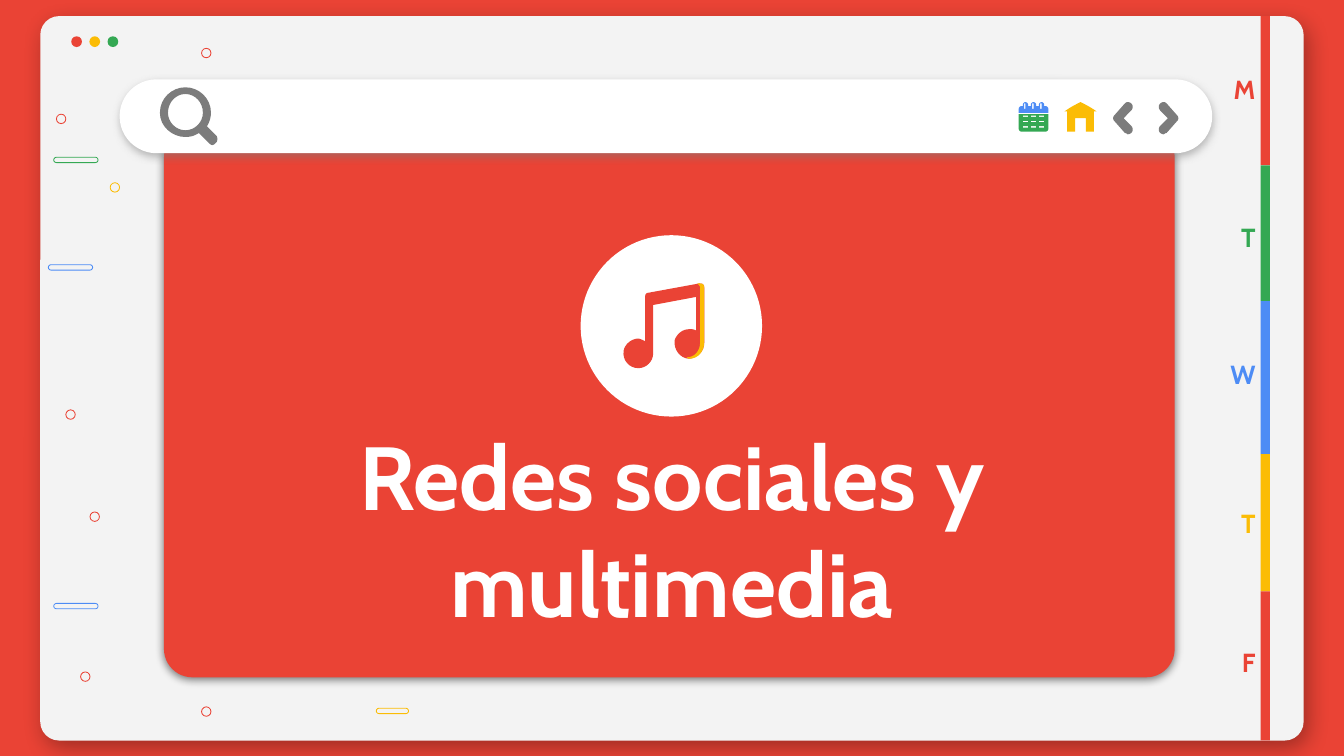
from lxml import etree
from pptx import Presentation
from pptx.dml.color import RGBColor
from pptx.enum.shapes import MSO_SHAPE
from pptx.enum.text import MSO_ANCHOR, PP_ALIGN
from pptx.oxml.ns import qn
from pptx.util import Inches, Pt

RED = RGBColor(0xEA, 0x43, 0x35)
YELLOW = RGBColor(0xFB, 0xBC, 0x05)
GREEN = RGBColor(0x34, 0xA8, 0x53)
BLUE = RGBColor(0x4D, 0x8C, 0xF5)
GRAY = RGBColor(0x7C, 0x7C, 0x7C)
PALE = RGBColor(0xF3, 0xF3, 0xF3)
WHITE = RGBColor(0xFF, 0xFF, 0xFF)
BLACK = RGBColor(0, 0, 0)

RECT = MSO_SHAPE.RECTANGLE
ROUND = MSO_SHAPE.ROUNDED_RECTANGLE
OVAL = MSO_SHAPE.OVAL
MIDDLE = MSO_ANCHOR.MIDDLE
CENTER, RIGHT = PP_ALIGN.CENTER, PP_ALIGN.RIGHT


def trace(steps, parts=8):
    """Turn points and cubic curves (six numbers) into a list of points."""
    points = []
    for step in steps:
        if len(step) == 2:
            points.append(step)
            continue
        ends = [points[-1], step[:2], step[2:4], step[4:]]
        for i in range(1, parts + 1):
            t = i / parts
            mix = ((1 - t) ** 3, 3 * t * (1 - t) ** 2, 3 * t * t * (1 - t), t ** 3)
            points.append(tuple(sum(m * p[k] for m, p in zip(mix, ends)) for k in (0, 1)))
    return points


def box(x, y, w, h):
    return [(x, y), (x + w, y), (x + w, y + h), (x, y + h)]


class Canvas:
    font = "Cabin"
    thin = Pt(0.44)

    def __init__(self, slide):
        self.slide = slide

    def paint(self, shape, fill=None, line=None):
        shape.shadow.inherit = False
        if fill is None:
            shape.fill.background()
        else:
            shape.fill.solid()
            shape.fill.fore_color.rgb = fill
        if line is None:
            shape.line.fill.background()
        else:
            shape.line.color.rgb = line
            shape.line.width = self.thin
        return shape

    def shape(self, kind, x, y, w, h, fill=None, line=None, bend=None):
        item = self.slide.shapes.add_shape(kind, Inches(x), Inches(y), Inches(w), Inches(h))
        if bend is not None:
            item.adjustments[0] = bend
        return self.paint(item, fill, line)

    def shade(self, shape, color, alpha, blur, dist, angle):
        effects = shape._element.spPr.find(qn("a:effectLst"))
        outer = etree.SubElement(effects, qn("a:outerShdw"), blurRad=str(Pt(blur)),
                                 dist=str(Pt(dist)), dir=str(angle * 60000),
                                 algn="bl", rotWithShape="0")
        tint = etree.SubElement(outer, qn("a:srgbClr"), val=str(color))
        etree.SubElement(tint, qn("a:alpha"), val=str(alpha * 1000))

    def draw(self, fill, *loops):
        """Fill one or more closed outlines; inner ones are holes."""
        pen = None
        for loop in loops:
            first, *rest = [(Inches(x), Inches(y)) for x, y in trace(loop)]
            if pen is None:
                pen = self.slide.shapes.build_freeform(*first, scale=1.0)
            else:
                pen.move_to(*first)
            pen.add_line_segments(rest, close=True)
        return self.paint(pen.convert_to_shape(), fill)

    def text(self, words, x, y, w, h, size, color, align):
        frame = self.slide.shapes.add_textbox(
            Inches(x), Inches(y), Inches(w), Inches(h)).text_frame
        frame.word_wrap = True
        frame.vertical_anchor = MIDDLE
        frame.margin_left = frame.margin_right = Inches(0.1)
        frame.margin_top = frame.margin_bottom = Inches(0.1)
        para = frame.paragraphs[0]
        para.alignment = align
        run = para.add_run()
        run.text = words
        run.font.name, run.font.size, run.font.bold = self.font, Pt(size), True
        run.font.color.rgb = color


def main():
    deck = Presentation()
    deck.slide_width = Inches(10)
    deck.slide_height = Inches(10) * 9 // 16
    slide = deck.slides.add_slide(deck.slide_layouts[6])
    slide.background.fill.solid()
    slide.background.fill.fore_color.rgb = RED
    art = Canvas(slide)

    # Window and its buttons
    window = art.shape(ROUND, 0.3, 0.12, 9.4, 5.39, PALE, bend=0.026)
    art.shade(window, BLACK, 32, 12.4, 5.2, 57)
    for i, color in enumerate((RED, YELLOW, GREEN)):
        art.shape(OVAL, 0.53 + 0.135 * i, 0.27, 0.08, 0.08, color)

    # Scattered rings and pills
    for x, y, color in ((0.67, 3.81, RED), (0.82, 1.36, YELLOW), (0.42, 0.85, RED),
                        (0.6, 5, RED), (0.49, 3.05, RED), (1.5, 0.36, RED), (1.5, 5.26, RED)):
        art.shape(OVAL, x, y, 0.07, 0.07, line=color)
    for x, y, w, color in ((2.8, 5.27, 0.24, YELLOW), (0.36, 1.97, 0.33, BLUE),
                           (0.4, 4.49, 0.33, BLUE), (0.4, 1.17, 0.33, GREEN)):
        art.shape(ROUND, x, y, w, 0.04, line=color, bend=0.5)

    # Panel and search bar
    panel = art.shape(ROUND, 1.22, 0.96, 7.52, 4.08, RED, bend=0.052)
    art.shade(panel, BLACK, 50, 4.5, 1.5, 90)
    bar = art.shape(ROUND, 0.89, 0.59, 8.13, 0.55, WHITE, bend=0.5)
    art.shade(bar, GRAY, 50, 4.5, 1.5, 90)

    # Magnifier
    lens = [(1.38, 0.7), (1.45, 0.7, 1.51, 0.76, 1.51, 0.84),
            (1.51, 0.91, 1.45, 0.97, 1.38, 0.97), (1.31, 0.97, 1.25, 0.91, 1.25, 0.84),
            (1.25, 0.76, 1.31, 0.7, 1.38, 0.7)]
    rim = [(1.38, 0.65), (1.28, 0.65, 1.19, 0.73, 1.19, 0.84),
           (1.19, 0.94, 1.28, 1.02, 1.38, 1.02), (1.42, 1.02, 1.45, 1.01, 1.48, 0.99),
           (1.55, 1.06), (1.56, 1.07, 1.57, 1.08, 1.58, 1.08),
           (1.59, 1.08, 1.6, 1.07, 1.61, 1.06), (1.62, 1.05, 1.62, 1.02, 1.61, 1.01),
           (1.54, 0.94), (1.56, 0.91, 1.57, 0.87, 1.57, 0.84),
           (1.57, 0.73, 1.48, 0.65, 1.38, 0.65)]
    art.draw(GRAY, lens, rim)

    # Music note
    art.shape(OVAL, 4.32, 1.75, 1.35, 1.35, WHITE)
    art.draw(RED, [
        (5.2, 2.11), (4.82, 2.18), (4.81, 2.18, 4.8, 2.19, 4.8, 2.21), (4.8, 2.54),
        (4.78, 2.53, 4.76, 2.52, 4.75, 2.52), (4.7, 2.52, 4.65, 2.56, 4.64, 2.61),
        (4.63, 2.68, 4.68, 2.74, 4.75, 2.74), (4.81, 2.74, 4.86, 2.69, 4.86, 2.63),
        (4.86, 2.27), (5.18, 2.21), (5.18, 2.46), (5.16, 2.45, 5.15, 2.45, 5.13, 2.45),
        (5.08, 2.45, 5.04, 2.48, 5.02, 2.53), (5.01, 2.6, 5.06, 2.67, 5.13, 2.67),
        (5.19, 2.66, 5.24, 2.62, 5.24, 2.55), (5.24, 2.14),
        (5.24, 2.12, 5.23, 2.11, 5.21, 2.11)])
    art.draw(YELLOW, [
        (5.21, 2.11), (5.19, 2.11), (5.2, 2.12, 5.21, 2.13, 5.21, 2.14), (5.21, 2.55),
        (5.21, 2.61, 5.17, 2.66, 5.11, 2.66), (5.12, 2.67, 5.13, 2.67, 5.13, 2.67),
        (5.19, 2.67, 5.24, 2.62, 5.24, 2.55), (5.24, 2.14),
        (5.24, 2.12, 5.23, 2.11, 5.21, 2.11)])

    # Title
    art.text("Redes sociales y multimedia", 1.77, 3.13, 6.46, 1.6, 48, WHITE, CENTER)

    # Weekday tabs
    edges = (0.12, 1.23, 2.24, 3.38, 4.4, 5.51)
    tops = (0.51, 1.61, 2.63, 3.74, 4.77)
    tints = (RED, GREEN, BLUE, YELLOW, RED)
    for top, end, color in zip(edges, edges[1:], tints):
        art.shape(RECT, 9.38, top, 0.07, end - top, color)
    for day, top, color in zip("MTWTF", tops, tints):
        art.text(day, 8.96, top, 0.48, 0.31, 14, color, RIGHT)

    # Calendar: page with day slots, then header with rings
    page = [(7.58, 0.85), (7.58, 0.96), (7.58, 0.97, 7.59, 0.98, 7.6, 0.98),
            (7.78, 0.98), (7.79, 0.98, 7.8, 0.97, 7.8, 0.96), (7.8, 0.85)]
    slots = [box(7.61 + 0.06 * col, 0.86 + 0.04 * row, 0.04, 0.01)
             for row in range(3) for col in range(3)]
    art.draw(GREEN, page, *slots)
    head = [(7.58, 0.84), (7.58, 0.81), (7.58, 0.8, 7.59, 0.79, 7.6, 0.79)]
    holes = []
    for x in (7.61, 7.67, 7.73):
        head += [(x, 0.79), (x, 0.78), (x, 0.77, x + 0.01, 0.76, x + 0.02, 0.76),
                 (x + 0.03, 0.76, x + 0.04, 0.77, x + 0.04, 0.78), (x + 0.04, 0.79)]
        holes.append(box(x + 0.01, 0.77, 0.01, 0.04))
    head += [(7.78, 0.79), (7.79, 0.79, 7.8, 0.8, 7.8, 0.81), (7.8, 0.84)]
    art.draw(BLUE, head, *holes)

    # House
    art.draw(YELLOW, [
        (8.04, 0.76), (8, 0.78, 7.96, 0.8, 7.92, 0.83), (7.94, 0.83), (7.94, 0.98),
        (8, 0.98), (8, 0.88), (8.08, 0.88), (8.08, 0.98), (8.14, 0.98), (8.14, 0.83),
        (8.16, 0.83), (8.12, 0.8, 8.08, 0.78, 8.04, 0.76)])

    # Next arrow, and its mirror for back
    arrow = trace([
        (8.66, 0.76), (8.63, 0.76, 8.61, 0.79, 8.63, 0.82), (8.69, 0.88), (8.63, 0.94),
        (8.61, 0.97, 8.63, 1, 8.66, 1), (8.66, 1, 8.67, 0.99, 8.68, 0.99), (8.76, 0.9),
        (8.77, 0.89, 8.77, 0.87, 8.76, 0.86), (8.68, 0.77),
        (8.67, 0.76, 8.66, 0.76, 8.66, 0.76)])
    art.draw(GRAY, arrow)
    art.draw(GRAY, [(17.05 - x, y) for x, y in arrow])

    deck.save("out.pptx")


if __name__ == "__main__":
    main()
